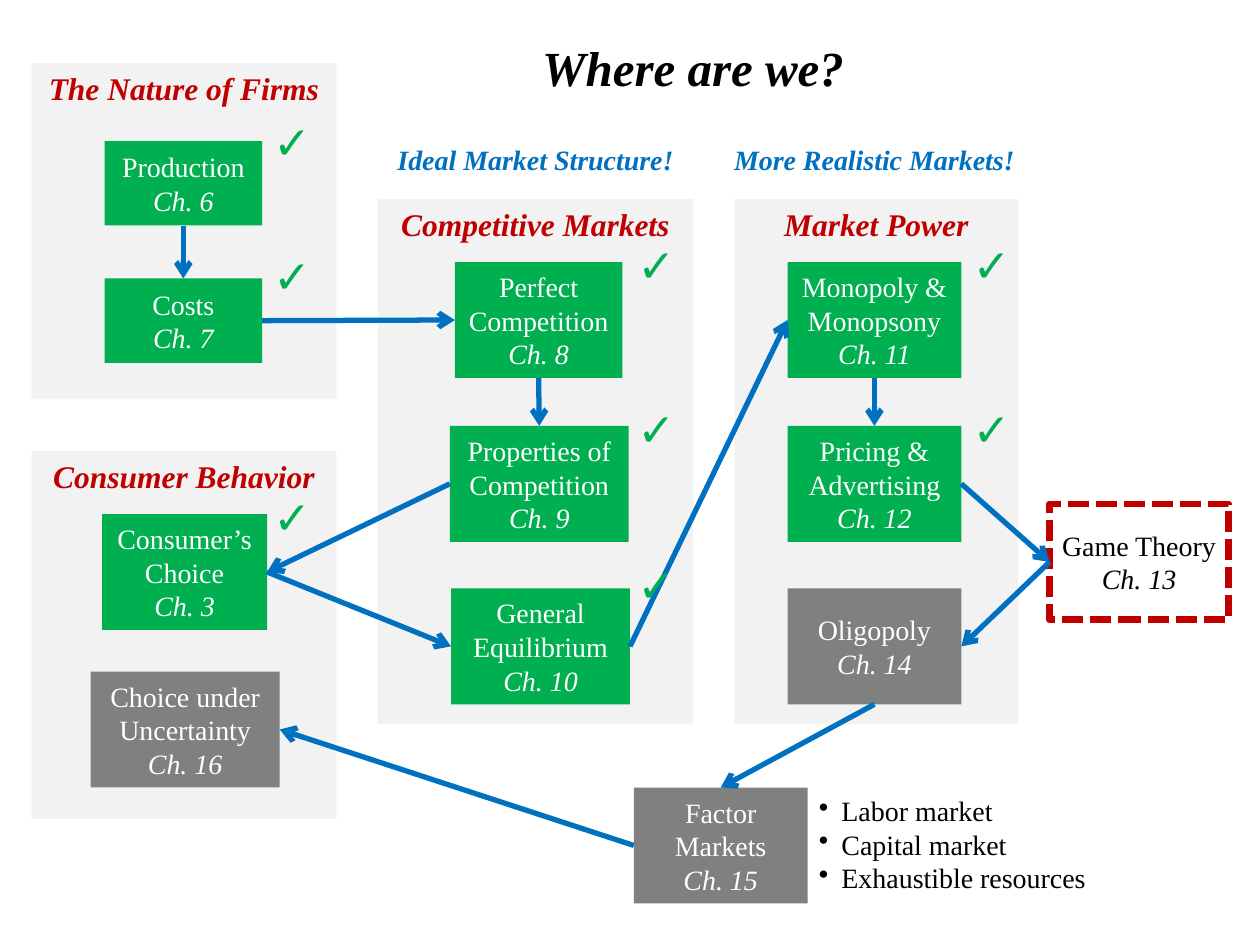
from pptx import Presentation
from pptx.dml.color import RGBColor
from pptx.enum.dml import MSO_LINE
from pptx.enum.shapes import MSO_CONNECTOR, MSO_SHAPE
from pptx.enum.text import MSO_ANCHOR, MSO_AUTO_SIZE, PP_ALIGN
from pptx.oxml.ns import qn
from pptx.util import Inches, Pt
from lxml.etree import SubElement

RED = RGBColor(0xC0, 0x00, 0x00)
GREEN = RGBColor(0x00, 0xB0, 0x50)
BLUE = RGBColor(0x00, 0x70, 0xC0)
GRAY = RGBColor(0x80, 0x80, 0x80)
PALE = RGBColor(0xF2, 0xF2, 0xF2)
WHITE = RGBColor(0xFF, 0xFF, 0xFF)
BLACK = RGBColor(0x00, 0x00, 0x00)
SERIF, SANS = "Times New Roman", "Arial"
TOP, LEFT, BOTTOM, RIGHT = range(4)

# Content: title, then left, top, width, height
PANELS = [
    ("The Nature of Firms", 0.25, 0.5, 2.42, 2.67),
    ("Competitive Markets", 3, 1.58, 2.5, 4.17),
    ("Consumer Behavior", 0.25, 3.58, 2.42, 2.92),
    ("Market Power", 5.83, 1.58, 2.25, 4.17),
]

# Chapter number: topic, fill, left, top, width, height
CHAPTERS = {
    6: ("Production", GREEN, 0.83, 1.12, 1.25, 0.67),
    7: ("Costs", GREEN, 0.83, 2.21, 1.25, 0.67),
    8: ("Perfect Competition", GREEN, 3.61, 2.08, 1.33, 0.92),
    9: ("Properties of Competition", GREEN, 3.57, 3.38, 1.42, 0.92),
    10: ("General Equilibrium", GREEN, 3.58, 4.67, 1.42, 0.92),
    3: ("Consumer’s Choice", GREEN, 0.81, 4.08, 1.31, 0.92),
    11: ("Monopoly & Monopsony", GREEN, 6.25, 2.08, 1.38, 0.92),
    12: ("Pricing & Advertising", GREEN, 6.25, 3.38, 1.38, 0.92),
    13: ("Game Theory", None, 8.33, 4, 1.42, 0.92),
    14: ("Oligopoly", GRAY, 6.25, 4.67, 1.38, 0.92),
    15: ("Factor Markets", GRAY, 5.03, 6.25, 1.38, 0.92),
    16: ("Choice under Uncertainty", GRAY, 0.72, 5.33, 1.5, 0.92),
}

# From chapter and side, to chapter and side
ARROWS = [
    (6, BOTTOM, 7, TOP),
    (7, RIGHT, 8, LEFT),
    (8, BOTTOM, 9, TOP),
    (9, LEFT, 3, RIGHT),
    (3, RIGHT, 10, LEFT),
    (10, RIGHT, 11, LEFT),
    (11, BOTTOM, 12, TOP),
    (12, RIGHT, 13, LEFT),
    (13, LEFT, 14, RIGHT),
    (14, BOTTOM, 15, TOP),
    (15, LEFT, 16, RIGHT),
]

# Text, size, colour, left, top, width, height
HEADINGS = [
    ("Ideal Market Structure!", 16, BLUE, 2.99, 1.08, 2.52, 0.37),
    ("More Realistic Markets!", 16, BLUE, 5.68, 1.08, 2.52, 0.37),
    ("Where are we?", 28, BLACK, 3.16, 0.25, 4.68, 0.57),
]
FACTORS = ["Labor market", "Capital market", "Exhaustible resources"]

# Left edge of a column of check marks, and their tops
CHECKS = [
    (2.07, [0.86, 1.92, 3.83]),
    (4.96, [1.83, 3.13, 4.37]),
    (7.62, [1.83, 3.13]),
]


def write(frame, lines, size, color, name=SERIF, bold=None, italics=(), align=PP_ALIGN.CENTER):
    """Put one paragraph per line; italics lists the slanted ones."""
    frame.word_wrap = True
    for number, line in enumerate(lines):
        para = frame.paragraphs[0] if number == 0 else frame.add_paragraph()
        para.text = line
        para.alignment = align
        font = para.font
        font.name, font.size, font.bold = name, Pt(size), bold
        font.italic = number in italics
        font.color.rgb = color


def add_box(page, fill, place):
    box = page.shapes.add_shape(MSO_SHAPE.RECTANGLE, *map(Inches, place))
    box.shadow.inherit = False
    box.line.fill.background()
    if fill is None:
        box.fill.background()
    else:
        box.fill.solid()
        box.fill.fore_color.rgb = fill
    return box


def add_label(page, lines, place, *args, **style):
    label = page.shapes.add_textbox(*map(Inches, place))
    write(label.text_frame, lines, *args, **style)
    label.text_frame.auto_size = MSO_AUTO_SIZE.SHAPE_TO_FIT_TEXT
    return label


def add_arrow(page, start, start_side, end, end_side):
    arrow = page.shapes.add_connector(MSO_CONNECTOR.STRAIGHT, 0, 0, 0, 0)
    arrow.begin_connect(start, start_side)
    arrow.end_connect(end, end_side)
    arrow.line.color.rgb = BLUE
    arrow.line.width = Pt(3)
    SubElement(arrow.line._get_or_add_ln(), qn("a:tailEnd"), type="arrow")
    SubElement(arrow._element.spPr, qn("a:effectLst"))


def main():
    deck = Presentation()
    deck.slide_width, deck.slide_height = Inches(10), Inches(7.5)
    page = deck.slides.add_slide(deck.slide_layouts[6])

    # Panels
    for title, *place in PANELS:
        frame = add_box(page, PALE, place).text_frame
        frame.vertical_anchor = MSO_ANCHOR.TOP
        write(frame, [title], 18, RED, bold=True, italics=[0])

    # Chapter boxes; the current one is outlined
    boxes = {}
    for chapter, (topic, fill, *place) in CHAPTERS.items():
        box = boxes[chapter] = add_box(page, fill, place)
        box.text_frame.vertical_anchor = MSO_ANCHOR.MIDDLE
        color = WHITE if fill else BLACK
        write(box.text_frame, [topic, f"Ch. {chapter}"], 16, color, italics=[1])
        if fill is None:
            box.line.color.rgb = RED
            box.line.width = Pt(4)
            box.line.dash_style = MSO_LINE.SQUARE_DOT
            box.line._get_or_add_ln().find(qn("a:prstDash")).set("val", "sysDash")

    # Arrows
    for start, start_side, end, end_side in ARROWS:
        add_arrow(page, boxes[start], start_side, boxes[end], end_side)

    # Bulleted factor markets
    factors = add_label(page, FACTORS, (6.4, 6.25, 2.68, 0.91), 16, BLACK, align=PP_ALIGN.LEFT)
    for para in factors.text_frame.paragraphs:
        props = para._p.get_or_add_pPr()
        props.set("marL", str(Inches(0.18)))
        props.set("indent", str(-Inches(0.18)))
        bullet = props.makeelement(qn("a:buChar"), {"char": "•"})
        props.insert(0, bullet)

    # Headings
    for text, size, color, *place in HEADINGS:
        add_label(page, [text], place, size, color, bold=True, italics=[0])

    # Check marks on finished chapters
    for left, tops in CHECKS:
        for top in tops:
            add_label(page, ["✓"], (left, top, 0.42, 0.54), 26, GREEN, name=SANS)

    deck.save("out.pptx")


if __name__ == "__main__":
    main()
